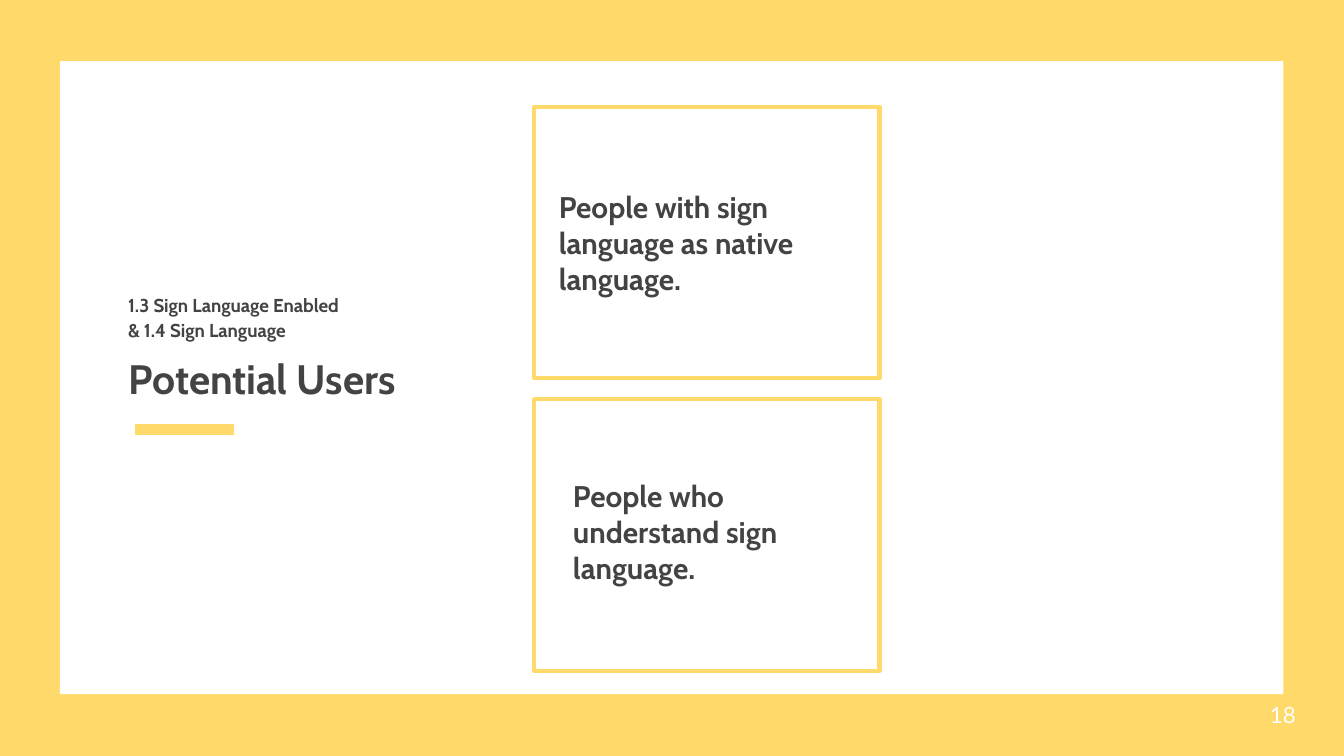
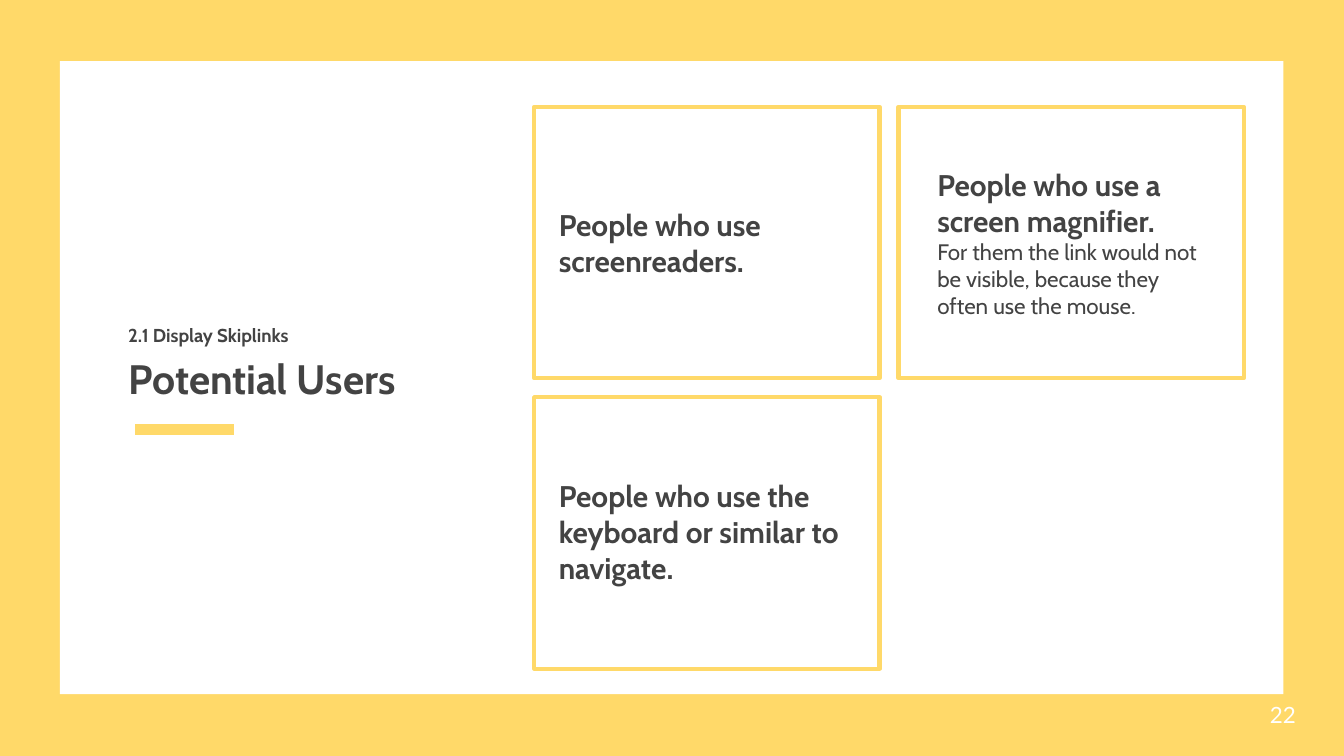
from lxml.etree import SubElement
from pptx import Presentation
from pptx.dml.color import RGBColor
from pptx.enum.shapes import MSO_CONNECTOR, MSO_SHAPE
from pptx.enum.text import MSO_ANCHOR, MSO_AUTO_SIZE, PP_ALIGN
from pptx.oxml.ns import qn
from pptx.util import Pt

PX = 4572  # 200 px to the inch
COLORS = {"yellow": "FFD969", "white": "FFFFFF", "ink": "434343"}
HEADING_FONT, NUMBER_FONT = "Cabin", "Lato"
TITLE_ONLY = 5
MARGIN = 20

# Card grid
CARD_LEFT, CARD_TOP = 795, 159
CARD_WIDTH, CARD_HEIGHT = 514, 404
COLUMN_STEP = 542


def px(*lengths):
    return [length * PX for length in lengths]


def color(name):
    return RGBColor.from_string(COLORS[name])


def write(shape, lines, sizes, anchor=MSO_ANCHOR.MIDDLE, bold=(True,),
          font=HEADING_FONT, ink="ink", spacing=1.0):
    """Fill a shape with one paragraph per line; the last style repeats."""
    frame = shape.text_frame
    frame.text = "\n".join(lines)
    frame.word_wrap = True
    frame.auto_size = MSO_AUTO_SIZE.NONE
    frame.vertical_anchor = anchor
    frame.margin_left = frame.margin_right = MARGIN * PX
    frame.margin_top = frame.margin_bottom = MARGIN * PX
    for index, para in enumerate(frame.paragraphs):
        para.alignment = PP_ALIGN.LEFT
        para.line_spacing = spacing
        for span in para.runs:
            span.font.name = font
            span.font.size = Pt(sizes[min(index, len(sizes) - 1)])
            span.font.bold = bold[min(index, len(bold) - 1)]
            span.font.color.rgb = color(ink)


def add_text(page, area, lines, sizes, **style):
    box = page.shapes.add_textbox(*px(*area))
    write(box, lines, sizes, **style)


def add_rectangle(page, area, fill=None, line=None):
    box = page.shapes.add_shape(MSO_SHAPE.RECTANGLE, *px(*area))
    box.shadow.inherit = False
    if fill:
        box.fill.solid()
        box.fill.fore_color.rgb = color(fill)
    else:
        box.fill.background()
    if line:
        box.line.color.rgb = color(line)
        box.line.width = Pt(2.25)
    else:
        box.line.fill.background()


def add_title_rule(page):
    rule = page.shapes.add_connector(MSO_CONNECTOR.STRAIGHT,
                                     *px(201, 639, 348, 639))
    rule.line.color.rgb = color("yellow")
    rule.line.width = Pt(6)
    SubElement(rule.element.spPr, qn("a:effectLst"))


def add_card(page, column, row, row_step, area, lines, **style):
    add_rectangle(page, (CARD_LEFT + column * COLUMN_STEP,
                         CARD_TOP + row * row_step,
                         CARD_WIDTH, CARD_HEIGHT), line="yellow")
    add_text(page, area, lines, (16, 12), bold=(True, False), **style)


def add_users_page(deck, number, topic, topic_top):
    """Start a page with the panel, title, topic and page number."""
    page = deck.slides.add_slide(deck.slide_layouts[TITLE_ONLY])
    add_rectangle(page, (89, 91, 1821, 942), fill="white")
    add_title_rule(page)

    title = page.shapes.title
    title.left, title.top, title.width, title.height = px(171, 381, 556, 364)
    write(title, ["Potential Users"], (22,))
    title.element.getparent().append(title.element)  # in front of the panel

    add_text(page, (171, topic_top, 738, 74), topic, (10,),
             anchor=MSO_ANCHOR.TOP, spacing=1.15)
    add_text(page, (1870, 1021, 120, 86), [number], (12,), bold=(False,),
             font=NUMBER_FONT, ink="white")
    return page


def main():
    deck = Presentation()
    deck.slide_width, deck.slide_height = px(2000, 1125)
    background = deck.slide_master.background.fill
    background.solid()
    background.fore_color.rgb = color("yellow")

    # Sign language
    page = add_users_page(
        deck, "18", ["1.3 Sign Language Enabled", "& 1.4 Sign Language"], 412)
    add_card(page, 0, 0, 435, (812, 196, 474, 330),
             ["People with sign language as native language."])
    add_card(page, 0, 1, 435, (833, 622, 436, 338),
             ["People who understand sign language."])

    # Skiplinks
    page = add_users_page(deck, "22", ["2.1 Display Skiplinks"], 457)
    add_card(page, 0, 0, 432, (812, 237, 474, 248),
             ["People who use screenreaders."])
    add_card(page, 1, 0, 432, (1375, 228, 436, 248),
             ["People who use a screen magnifier.",
              "For them the link would not be visible, "
              "because they often use the mouse."],
             anchor=MSO_ANCHOR.TOP)
    add_card(page, 0, 1, 432, (812, 636, 460, 310),
             ["People who use the keyboard or similar to navigate."])

    deck.save("out.pptx")


if __name__ == "__main__":
    main()
